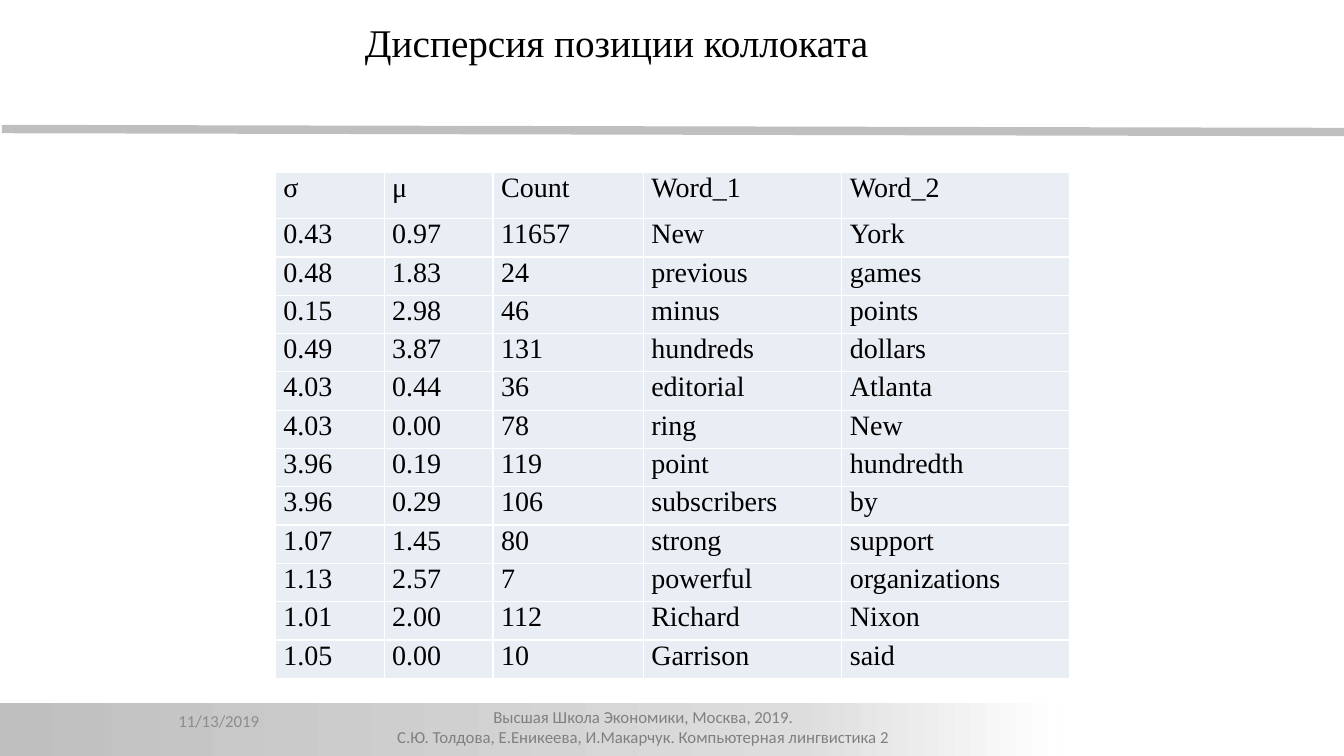
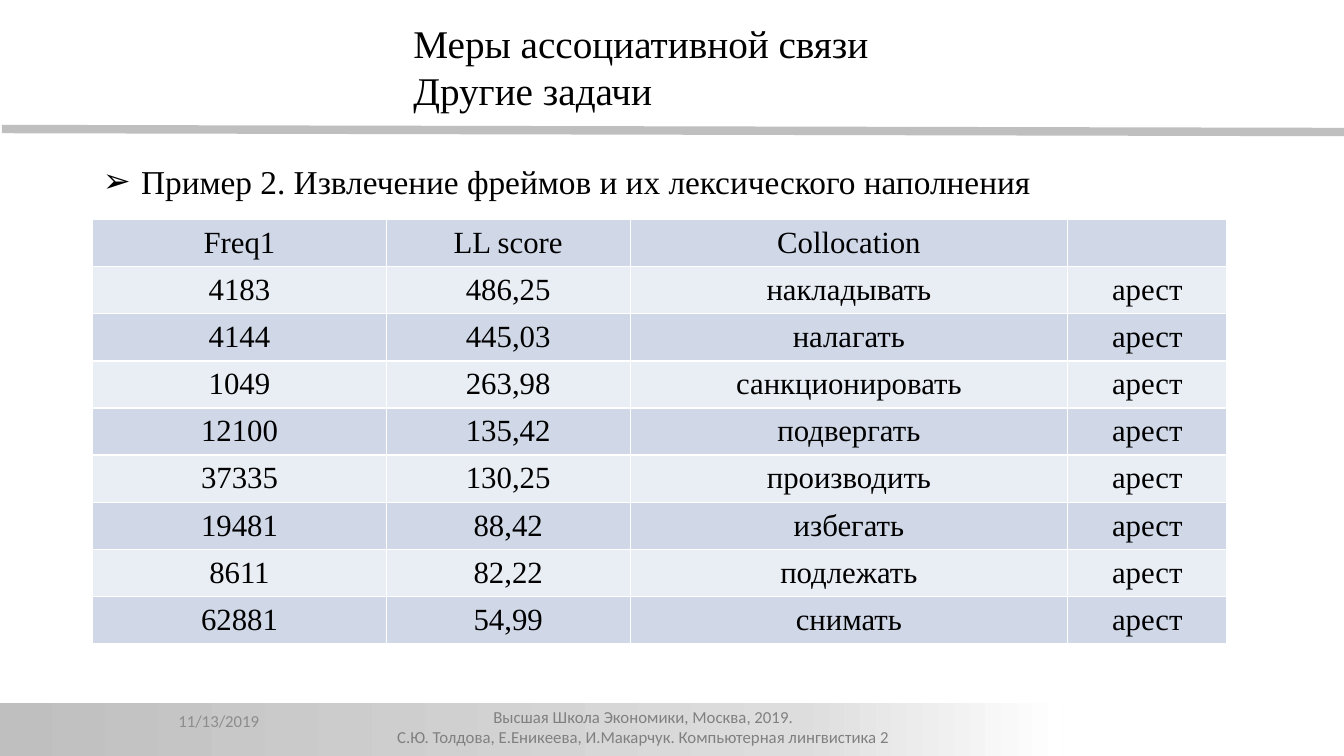
from dataclasses import dataclass

from lxml.etree import SubElement
from pptx import Presentation
from pptx.dml.color import RGBColor
from pptx.enum.shapes import MSO_CONNECTOR, MSO_SHAPE
from pptx.enum.text import MSO_ANCHOR, MSO_AUTO_SIZE, PP_ALIGN
from pptx.oxml.ns import qn
from pptx.presentation import Presentation as Deck
from pptx.slide import Slide
from pptx.table import _Cell as Cell
from pptx.text.text import TextFrame
from pptx.util import Inches, Pt

COLORS = {
    "text": "000000",
    "rule": "BFBFBF",
    "band_middle": "DDDDDD",
    "white": "FFFFFF",
    "footer": "808080",
    "date": "8C8C8C",
    "row_light": "E9EDF4",
    "row_dark": "D0D8E8",
}
SERIF = "Times New Roman"
SANS = "Calibri"
DATE = ["11/13/2019"]
FOOTER = [
    "Высшая Школа Экономики, Москва, 2019.",
    "С.Ю. Толдова, Е.Еникеева, И.Макарчук. Компьютерная лингвистика 2",
]
BAND_STOPS = [(0, "rule"), (75, "band_middle"), (100, "white")]


@dataclass(frozen=True)
class Box:
    left: float
    top: float
    width: float
    height: float

    def lengths(self) -> tuple[Inches, Inches, Inches, Inches]:
        return Inches(self.left), Inches(self.top), Inches(self.width), Inches(self.height)


@dataclass(frozen=True)
class TextStyle:
    size: float
    font: str
    color: str
    align: PP_ALIGN = PP_ALIGN.LEFT


@dataclass(frozen=True)
class Grid:
    left: float
    top: float
    columns: list[float]
    header_height: float
    row_height: float
    fills: list[str]
    style: TextStyle
    anchor: MSO_ANCHOR
    side_inset: float
    end_inset: float


TITLE_STYLE = TextStyle(28, SERIF, "text")
TASK_STYLE = TextStyle(23.8, SERIF, "text")
FOOTER_STYLE = TextStyle(12, SANS, "footer", PP_ALIGN.CENTER)
DATE_STYLE = TextStyle(12, SANS, "date")

DISPERSION_GRID = Grid(
    2.73, 1.71, [1.08, 1.08, 1.49, 1.97, 2.26], 0.46, 0.38, ["row_light"],
    TextStyle(20, SERIF, "text"), MSO_ANCHOR.TOP, 0.08, 0,
)
FRAME_GRID = Grid(
    0.92, 2.18, [2.91, 2.42, 4.34, 1.58], 4.2 / 9, 4.2 / 9, ["row_dark", "row_light"],
    TextStyle(22, SERIF, "text", PP_ALIGN.CENTER), MSO_ANCHOR.MIDDLE, 0.1, 0.05,
)

DISPERSION_ROWS = [
    ("σ", "μ", "Сount", "Word_1", "Word_2"),
    ("0.43", "0.97", "11657", "New", "York"),
    ("0.48", "1.83", "24", "previous", "games"),
    ("0.15", "2.98", "46", "minus", "points"),
    ("0.49", "3.87", "131", "hundreds", "dollars"),
    ("4.03", "0.44", "36", "editorial", "Atlanta"),
    ("4.03", "0.00", "78", "ring", "New"),
    ("3.96", "0.19", "119", "point", "hundredth"),
    ("3.96", "0.29", "106", "subscribers", "by"),
    ("1.07", "1.45", "80", "strong", "support"),
    ("1.13", "2.57", "7", "powerful", "organizations"),
    ("1.01", "2.00", "112", "Richard", "Nixon"),
    ("1.05", "0.00", "10", "Garrison", "said"),
]
ARREST_VERBS = [
    ("4183", "486,25", "накладывать"),
    ("4144", "445,03", "налагать"),
    ("1049", "263,98", "санкционировать"),
    ("12100", "135,42", "подвергать"),
    ("37335", "130,25", "производить"),
    ("19481", "88,42", "избегать"),
    ("8611", "82,22", "подлежать"),
    ("62881", "54,99", "снимать"),
]
FRAME_ROWS = [("Freq1", "LL score", "Collocation", "")]
FRAME_ROWS += [(*verb, "арест") for verb in ARREST_VERBS]


def rgb(name: str) -> RGBColor:
    return RGBColor.from_string(COLORS[name])


def write_lines(frame: TextFrame, lines: list[str], style: TextStyle) -> None:
    frame.word_wrap = True
    for index, line in enumerate(lines):
        paragraph = frame.add_paragraph() if index else frame.paragraphs[0]
        paragraph.alignment = style.align
        paragraph.space_before = Pt(0)
        run = paragraph.add_run()
        run.text = line
        run.font.size = Pt(style.size)
        run.font.name = style.font
        run.font.color.rgb = rgb(style.color)


def add_label(slide: Slide, box: Box, lines: list[str], style: TextStyle,
              anchor: MSO_ANCHOR) -> None:
    label = slide.shapes.add_textbox(*box.lengths())
    write_lines(label.text_frame, lines, style)
    label.text_frame.vertical_anchor = anchor


def add_rule(slide: Slide) -> None:
    rule = slide.shapes.add_connector(
        MSO_CONNECTOR.STRAIGHT, Inches(0.02), Inches(1.28), Inches(13.35), Inches(1.31))
    rule.line.color.rgb = rgb("rule")
    rule.line.width = Pt(6)
    SubElement(rule._element.spPr, qn("a:effectLst"))


def add_band(slide: Slide) -> None:
    band = slide.shapes.add_shape(
        MSO_SHAPE.RECTANGLE, *Box(-0.01, 6.97, 10.56, 0.57).lengths())
    band.shadow.inherit = False
    band.line.fill.background()
    band.fill.gradient()
    band.fill.gradient_angle = 0
    stops = band._element.spPr.find(qn("a:gradFill")).find(qn("a:gsLst"))
    stops.clear()
    for percent, color in BAND_STOPS:
        stop = SubElement(stops, qn("a:gs"), pos=str(percent * 1000))
        SubElement(stop, qn("a:srgbClr"), val=COLORS[color])


def add_slide(deck: Deck, layout: int, title_box: Box, title: list[str]) -> Slide:
    slide = deck.slides.add_slide(deck.slide_layouts[layout])
    add_rule(slide)
    add_band(slide)
    add_label(slide, Box(2.54, 6.96, 7.68, 0.45), FOOTER, FOOTER_STYLE, MSO_ANCHOR.TOP)
    add_label(slide, Box(1.67, 6.95, 2.33, 0.4), DATE, DATE_STYLE, MSO_ANCHOR.MIDDLE)
    heading = slide.shapes.title
    heading.left, heading.top, heading.width, heading.height = title_box.lengths()
    write_lines(heading.text_frame, title, TITLE_STYLE)
    heading.text_frame.vertical_anchor = MSO_ANCHOR.TOP
    heading.text_frame.auto_size = MSO_AUTO_SIZE.SHAPE_TO_FIT_TEXT
    return slide


def add_task(slide: Slide, box: Box, task: str) -> None:
    body = slide.placeholders[1]
    body.left, body.top, body.width, body.height = box.lengths()
    properties = body.text_frame.paragraphs[0]._p.get_or_add_pPr()
    indent = Inches(0.38)
    properties.set("marL", str(indent))
    properties.set("indent", str(-indent))
    SubElement(properties, qn("a:buChar"), char="➢")
    write_lines(body.text_frame, [task], TASK_STYLE)
    body.text_frame.vertical_anchor = MSO_ANCHOR.TOP
    body.text_frame.auto_size = MSO_AUTO_SIZE.NONE


def add_borders(cell: Cell) -> None:
    properties = cell._tc.get_or_add_tcPr()
    for side in ("lnL", "lnR", "lnT", "lnB"):
        border = SubElement(properties, qn(f"a:{side}"), w=str(Pt(1)))
        paint = SubElement(border, qn("a:solidFill"))
        SubElement(paint, qn("a:srgbClr"), val=COLORS["white"])


def add_grid(slide: Slide, grid: Grid, rows: list[tuple[str, ...]]) -> None:
    height = grid.header_height + grid.row_height * (len(rows) - 1)
    box = Box(grid.left, grid.top, sum(grid.columns), height)
    table = slide.shapes.add_table(len(rows), len(grid.columns), *box.lengths()).table
    table.first_row = False
    table.horz_banding = False
    for column, width in zip(table.columns, grid.columns):
        column.width = Inches(width)
    for row_index, values in enumerate(rows):
        table.rows[row_index].height = Inches(
            grid.row_height if row_index else grid.header_height)
        for column_index, value in enumerate(values):
            cell = table.cell(row_index, column_index)
            add_borders(cell)
            cell.fill.solid()
            cell.fill.fore_color.rgb = rgb(grid.fills[row_index % len(grid.fills)])
            cell.vertical_anchor = grid.anchor
            cell.margin_left = cell.margin_right = Inches(grid.side_inset)
            cell.margin_top = cell.margin_bottom = Inches(grid.end_inset)
            if value:
                write_lines(cell.text_frame, [value], grid.style)


def main() -> None:
    deck = Presentation()
    deck.slide_width = Inches(13.33)
    deck.slide_height = Inches(7.5)

    dispersion = add_slide(
        deck, 5, Box(3.52, 0.13, 7.7, 0.57), ["Дисперсия позиции коллоката"])
    add_grid(dispersion, DISPERSION_GRID, DISPERSION_ROWS)

    frames = add_slide(
        deck, 1, Box(4, 0.14, 5.83, 1.04), ["Меры ассоциативной связи", "Другие задачи"])
    add_task(frames, Box(0.92, 1.55, 10.2, 0.48),
             "Пример 2. Извлечение фреймов и их лексического наполнения")
    add_grid(frames, FRAME_GRID, FRAME_ROWS)

    deck.save("out.pptx")


if __name__ == "__main__":
    main()
